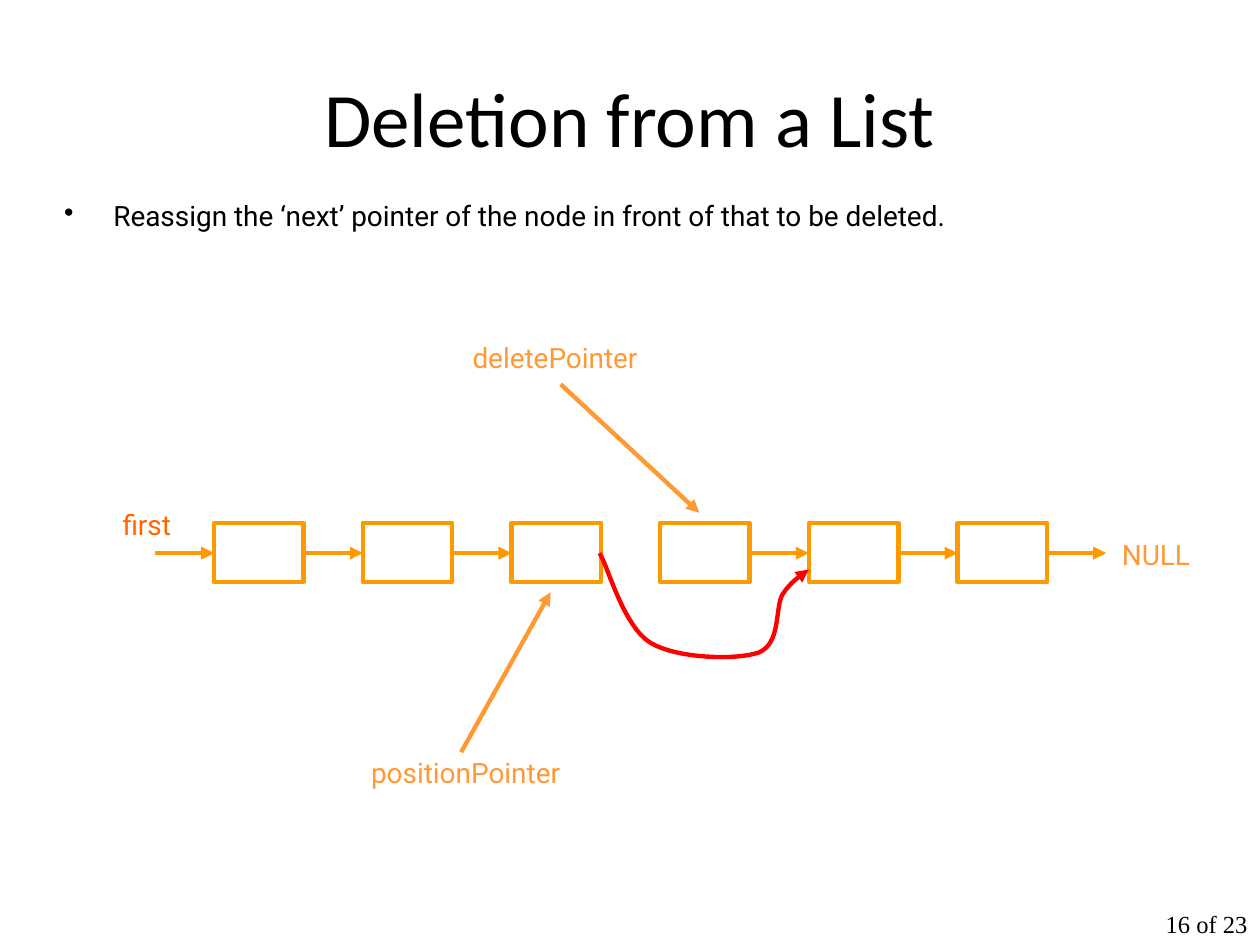
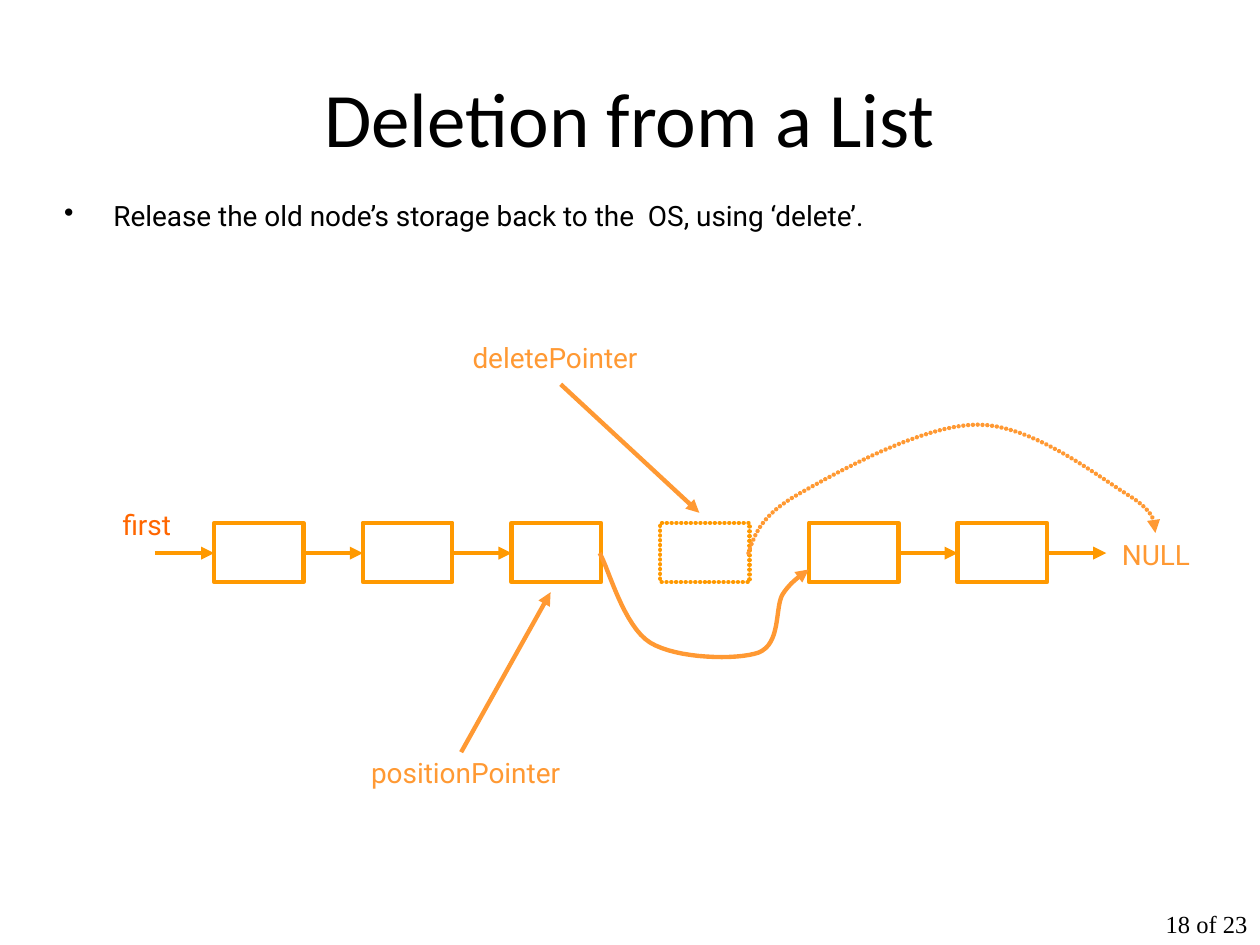
"""Build two slides on deleting a node from a linked list."""
from lxml import etree
from pptx import Presentation
from pptx.dml.color import RGBColor
from pptx.enum.shapes import MSO_CONNECTOR, MSO_SHAPE
from pptx.enum.text import MSO_ANCHOR, MSO_AUTO_SIZE, PP_ALIGN
from pptx.oxml.ns import qn
from pptx.util import Inches, Pt

LEFT, CENTER, RIGHT = PP_ALIGN.LEFT, PP_ALIGN.CENTER, PP_ALIGN.RIGHT
TOP, MIDDLE = MSO_ANCHOR.TOP, MSO_ANCHOR.MIDDLE
FIT_SHAPE, NO_FIT = MSO_AUTO_SIZE.SHAPE_TO_FIT_TEXT, MSO_AUTO_SIZE.NONE
STRAIGHT, RECTANGLE = MSO_CONNECTOR.STRAIGHT, MSO_SHAPE.RECTANGLE

BLACK = RGBColor(0x00, 0x00, 0x00)
NODE_ORANGE = RGBColor(0xFF, 0x99, 0x00)
POINTER_ORANGE = RGBColor(0xFF, 0x99, 0x33)
FIRST_ORANGE = RGBColor(0xFF, 0x66, 0x00)
RED = RGBColor(0xFF, 0x00, 0x00)

NODE_COUNT, DELETED_NODE = 6, 3
NODE_LEFT, NODE_TOP = 1.7, 4.15
NODE_WIDTH, NODE_HEIGHT = 0.71, 0.47
LINK_LENGTH, LINK_Y = 0.47, 4.39
PITCH = NODE_WIDTH + LINK_LENGTH
CURVE_STEPS = 16

BYPASS = [(4.76, 4.39), (4.83, 4.51), (4.95, 4.97), (5.16, 5.1),
          (5.37, 5.23), (5.85, 5.24), (6.02, 5.18),
          (6.2, 5.11), (6.15, 4.83), (6.21, 4.72),
          (6.28, 4.61), (6.37, 4.56), (6.42, 4.52)]
RELEASED_LINK = [(5.94, 4.39), (5.99, 4.24), (6.04, 4.09), (6.34, 3.92),
                 (6.64, 3.75), (7.32, 3.37), (7.76, 3.37),
                 (8.19, 3.37), (8.7, 3.77), (8.94, 3.92),
                 (9.17, 4.06), (9.17, 4.15), (9.17, 4.23)]

LABELS = [
    ("first", (0.96, 4.07, 0.41, 0.23),
     dict(color=FIRST_ORANGE, anchor=MIDDLE, wrap=False, before=0)),
    ("NULL", (8.78, 4.31, 0.79, 0.23), dict(color=POINTER_ORANGE)),
    ("positionPointer", (2.87, 6.04, 1.65, 0.23), dict(color=POINTER_ORANGE)),
    ("deletePointer", (3.58, 2.74, 1.65, 0.23), dict(color=POINTER_ORANGE)),
]
POINTERS = [((3.66, 5.97), (4.37, 4.7)), ((4.45, 3.05), (5.55, 4.07))]

SLIDES = [
    dict(text="Reassign the ‘next’ pointer of the node in front of that to be deleted.",
         page="16 of 23", missing_links={3}, dotted_nodes=set(),
         curves=[(BYPASS, RED, False)]),
    dict(text="Release the old node’s storage back to the  OS, using ‘delete’.",
         page="18 of 23", missing_links={3, 4}, dotted_nodes={DELETED_NODE},
         curves=[(BYPASS, POINTER_ORANGE, False),
                 (RELEASED_LINK, POINTER_ORANGE, True)]),
]


def add_text(slide, text, box, *, color=BLACK, font="Roboto", size=16, align=CENTER,
             anchor=TOP, wrap=True, spacing=0.85, before=10, insets=(0, 0),
             fit=FIT_SHAPE, bullet=False):
    shape = slide.shapes.add_textbox(*map(Inches, box))
    frame = shape.text_frame
    frame.word_wrap, frame.auto_size, frame.vertical_anchor = wrap, fit, anchor
    frame.margin_left = frame.margin_right = Inches(insets[0])
    frame.margin_top = frame.margin_bottom = Inches(insets[1])
    paragraph = frame.paragraphs[0]
    paragraph.alignment, paragraph.line_spacing = align, spacing
    paragraph.space_before = Pt(before)
    run = paragraph.add_run()
    run.text = text
    run.font.name, run.font.size = font, Pt(size)
    run.font.color.rgb = color
    if bullet:
        properties = paragraph._p.get_or_add_pPr()
        properties.set("marL", str(Inches(0.39)))
        properties.set("indent", str(-Inches(0.39)))
        etree.SubElement(properties, qn("a:buChar"), char="•")


def style_line(shape, color, dotted=False, arrow=True):
    shape.line.color.rgb = color
    shape.line.width = Pt(2.5)
    properties = shape._element.spPr
    outline = properties.find(qn("a:ln"))
    if dotted:
        outline.set("cap", "rnd")
        dash = etree.SubElement(outline, qn("a:custDash"))
        etree.SubElement(dash, qn("a:ds"), d="100000", sp="10000")
    if arrow:
        etree.SubElement(outline, qn("a:tailEnd"), type="triangle")
    if properties.find(qn("a:effectLst")) is None:
        etree.SubElement(properties, qn("a:effectLst"))


presentation = Presentation()
presentation.slide_width, presentation.slide_height = Inches(10), Inches(7.5)

for content in SLIDES:
    slide = presentation.slides.add_slide(presentation.slide_layouts[5])
    title = slide.shapes.title
    title.left, title.top, title.width, title.height = map(Inches, (0.5, 0.3, 9, 1.25))
    title.text_frame.text = "Deletion from a List"
    title.text_frame.vertical_anchor = MIDDLE
    paragraph = title.text_frame.paragraphs[0]
    paragraph.alignment = CENTER
    paragraph.font.name, paragraph.font.size = "Calibri", Pt(44)
    paragraph.font.color.rgb = BLACK

    add_text(slide, content["page"], (8.86, 7.22, 1.14, 0.28), font="Times New Roman",
             size=14, align=RIGHT, spacing=0.75, before=0, insets=(0.1, 0.05), fit=NO_FIT)

    for index in range(NODE_COUNT):
        node = slide.shapes.add_shape(
            RECTANGLE, Inches(NODE_LEFT + index * PITCH), Inches(NODE_TOP),
            Inches(NODE_WIDTH), Inches(NODE_HEIGHT))
        node.shadow.inherit = False
        node.fill.background()
        style_line(node, NODE_ORANGE, dotted=index in content["dotted_nodes"], arrow=False)

    arrows = [(start, end, POINTER_ORANGE) for start, end in POINTERS]
    for index in range(NODE_COUNT + 1):
        if index not in content["missing_links"]:
            link_end = NODE_LEFT + index * PITCH
            arrows.append(((link_end - LINK_LENGTH, LINK_Y), (link_end, LINK_Y), NODE_ORANGE))
    for start, end, color in arrows:
        connector = slide.shapes.add_connector(STRAIGHT, *map(Inches, start + end))
        style_line(connector, color)

    for label, box, text_format in LABELS:
        add_text(slide, label, box, **text_format)

    for points, color, dotted in content["curves"]:
        vertices = []
        for first in range(0, len(points) - 1, 3):
            for step in range(1, CURVE_STEPS + 1):
                t = step / CURVE_STEPS
                weights = ((1 - t) ** 3, 3 * t * (1 - t) ** 2, 3 * t * t * (1 - t), t ** 3)
                segment = points[first:first + 4]
                vertices.append(tuple(
                    Inches(sum(weight * point[axis] for weight, point in zip(weights, segment)))
                    for axis in (0, 1)))
        builder = slide.shapes.build_freeform(*map(Inches, points[0]))
        builder.add_line_segments(vertices, close=False)
        curve = builder.convert_to_shape()
        curve.shadow.inherit = False
        curve.fill.background()
        style_line(curve, color, dotted=dotted)

    add_text(slide, content["text"], (0.51, 1.62, 9.06, 0.23), align=LEFT, bullet=True)

presentation.save("out.pptx")
